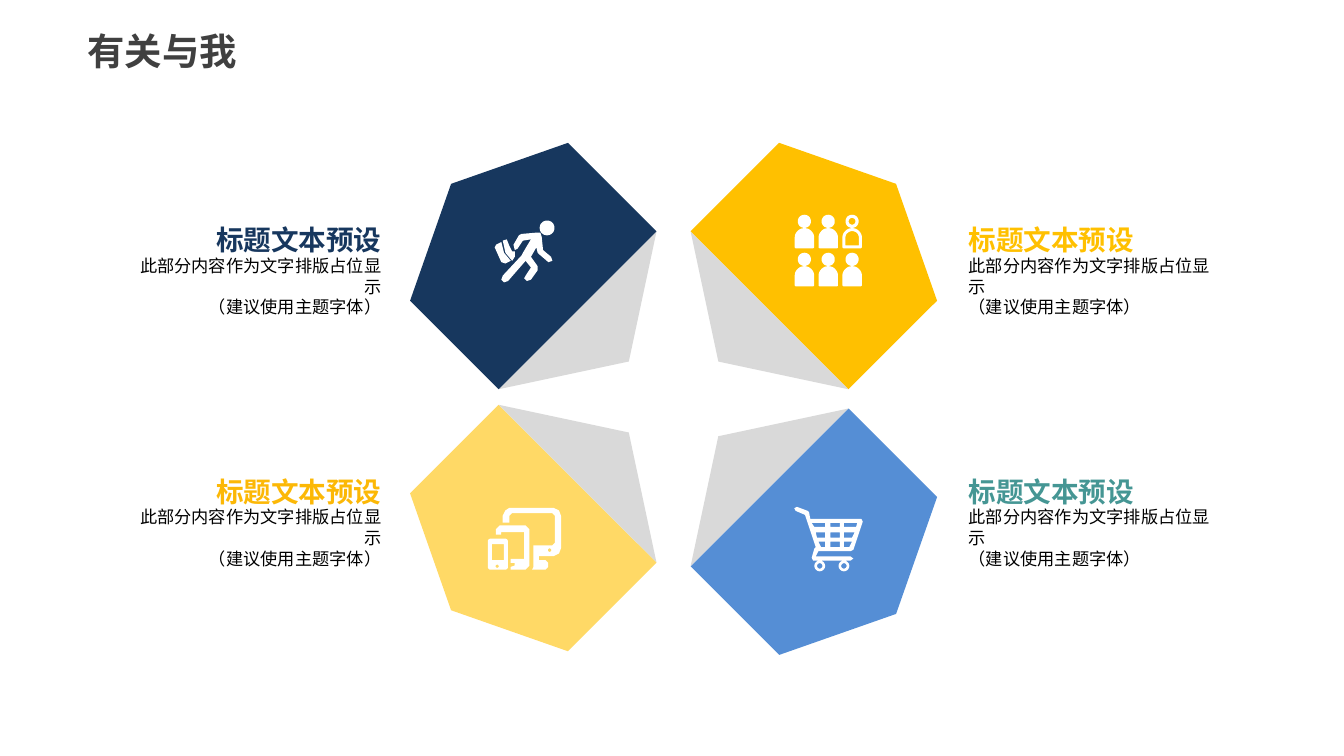
"""Build a slide with four pentagon cards, each with an icon, a heading and a note."""
from copy import deepcopy
from math import cos, pi, radians, sin

from lxml.etree import SubElement
from pptx import Presentation
from pptx.dml.color import RGBColor
from pptx.enum.shapes import MSO_SHAPE as Shape
from pptx.enum.text import MSO_ANCHOR as Anchor, MSO_AUTO_SIZE as AutoSize, PP_ALIGN as Align
from pptx.oxml.ns import qn
from pptx.util import Cm, Pt

COLORS = {
    "title": "404040", "body": "000000", "fold": "D9D9D9", "icon": "FFFFFF",
    "navy": "17375E", "gold": "FFC000", "sand": "FFD966", "blue": "558ED5",
    "amber": "FCB806", "teal": "459694",
}
FONT = "Noto Sans CJK SC"
HEADING = "标题文本预设"
NOTE = "此部分内容作为文字排版占位显示\n（建议使用主题字体）"
PLATE_W, PLATE_H = 3.38, 4.22
FOLD_H = 1.37
UNIT = Cm(0.0254)
FINE = 10


def write(tf, text, size=9.2, color="body", bold=False, align=Align.LEFT,
          anchor=Anchor.TOP, wrap=True, inset=0.2, spacing=None):
    tf.auto_size = AutoSize.NONE
    tf.word_wrap = wrap
    tf.vertical_anchor = anchor
    tf.margin_left = tf.margin_right = Cm(inset)
    tf.margin_top = tf.margin_bottom = 0
    p = tf.paragraphs[0]
    p.text = text
    p.alignment = align
    p.line_spacing = spacing
    for r in p.runs:
        r.font.size = Pt(size)
        r.font.bold = bold
        r.font.name = FONT
        r.font.color.rgb = RGBColor.from_string(COLORS[color])
        props = r._r.get_or_add_rPr()
        SubElement(props, qn("a:ea"), typeface=FONT)
    for br in p._p.findall(qn("a:br")):
        br.append(deepcopy(props))


def arc(cx, cy, r, start=0, sweep=360, steps=32):
    angles = [radians(start + sweep * i / steps) for i in range(steps + 1)]
    return [(cx + r * cos(a), cy + r * sin(a)) for a in angles]


def rounded(x, y, w, h, top, bottom):
    return (arc(x + top, y + top, top, 180, 90, 8)
            + arc(x + w - top, y + top, top, 270, 90, 8)
            + arc(x + w - bottom, y + h - bottom, bottom, 0, 90, 8)
            + arc(x + bottom, y + h - bottom, bottom, 90, 90, 8))


def runner():
    return [
        arc(39, 5.5, 5.5),
        [(31, 9), (34, 9), (35, 12), (36, 22), (42, 27), (43, 30), (40, 31), (33, 25),
         (32, 24), (31, 20), (27, 27), (32, 34), (32, 37), (27, 44), (24, 45), (22, 43),
         (23, 41), (27, 35), (23, 30), (10, 45), (7, 46), (5, 44), (6, 41), (20, 26),
         (21, 24), (27, 14), (21, 15), (17, 21), (15, 22), (14, 18), (18, 11), (20, 10)],
        [(1, 18), (5, 16), (7, 24), (12, 30), (8, 32), (5, 31), (0, 20)],
        [(6, 15), (9, 14), (11, 19), (13, 23), (15, 23), (15, 27), (13, 30), (8, 24)],
    ]


def people():
    contours = []
    for row in range(2):
        for col in range(3):
            x, y = col * 17.75, row * 28.3
            contours += [arc(x + 7.2, y + 4.9, 4.9), rounded(x, y + 10, 14.5, 15, 7.2, 1)]
    x = 2 * 17.75
    return contours + [arc(x + 7.2, 4.9, 2.5), rounded(x + 2.2, 12.2, 10.1, 10.6, 5, 0)]


def devices():
    return [
        rounded(0, 23, 15, 23, 2, 2),
        rounded(3, 27, 9, 12, 0, 0),
        arc(7, 43.5, 1.2),
        [(6, 20), (6, 16), (9, 13), (28, 13), (31, 16), (31, 43), (28, 46), (17, 46),
         (17, 44), (20, 43), (20, 41), (17, 41), (17, 38), (27, 38), (27, 18), (10, 18),
         (10, 20)],
        [(11, 11), (11, 6), (13, 2), (16, 0), (49, 0), (53, 2), (54.5, 6), (54.5, 30),
         (53, 34), (49, 36), (38, 36), (38, 39), (43, 39), (45, 41), (45, 44), (43, 46),
         (33, 46), (34, 44), (34, 28), (48, 28), (50, 26), (50, 6), (48, 4), (18, 4),
         (16, 6), (16, 11)],
        arc(46, 31.5, 1.3),
    ]


def cart():
    contours = [[(2, 0), (10, 3), (11, 4), (12, 9), (50, 9), (51, 11), (44, 32), (42, 33),
                 (18, 33), (16, 37), (42, 37), (44, 38.5), (42, 40), (14, 40), (13, 38),
                 (15, 31), (16, 30), (8, 6), (1, 3), (0, 1)]]
    for top, bottom, x1, x2, x3, x4 in ((12, 15, 13, 15, 47, 46), (19, 23, 16, 17, 45, 43),
                                        (26, 30, 18, 20, 43, 41)):
        contours += [
            [(x1, top), (23, top), (23, bottom), (x2, bottom)],
            [(27, top), (34, top), (34, bottom), (27, bottom)],
            [(37, top), (x3, top), (x4, bottom), (37, bottom)],
        ]
    for x in (19, 37):
        contours += [arc(x, 44, 4), arc(x, 44, 2)]
    return contours


class Deck:
    def __init__(self):
        self.prs = Presentation()
        self.prs.slide_width, self.prs.slide_height = Cm(25.4), Cm(14.29)
        self.slide = self.prs.slides.add_slide(self.prs.slide_layouts[5])

    def paint(self, sp, color):
        sp.shadow.inherit = False
        sp.fill.solid()
        sp.fill.fore_color.rgb = RGBColor.from_string(COLORS[color])
        sp.line.fill.background()

    def title(self, text):
        sp = self.slide.shapes.title
        sp.left, sp.top, sp.width, sp.height = Cm(-0.51), Cm(0.36), Cm(7.16), Cm(1.19)
        write(sp.text_frame, text, size=20, color="title", bold=True, inset=0,
              align=Align.CENTER, anchor=Anchor.MIDDLE, wrap=False)

    def text(self, text, x, y, w, h, **style):
        sp = self.slide.shapes.add_textbox(Cm(x), Cm(y), Cm(w), Cm(h))
        write(sp.text_frame, text, **style)

    def shape(self, kind, cx, cy, w, h, rotation, color):
        sp = self.slide.shapes.add_shape(kind, Cm(cx - w / 2), Cm(cy - h / 2), Cm(w), Cm(h))
        sp.rotation = rotation % 360
        self.paint(sp, color)
        return sp

    def pentagon(self, cx, cy, rotation, color):
        reach = (PLATE_W + FOLD_H) / 2
        angle = rotation * pi / 180
        self.shape(Shape.ISOSCELES_TRIANGLE, cx - reach * cos(angle), cy - reach * sin(angle),
                   PLATE_H, FOLD_H, rotation - 90, "fold")
        sp = self.shape(Shape.PENTAGON, cx, cy, PLATE_W, PLATE_H, rotation, color)
        sp.adjustments[0] = 0.3

    def icon(self, contours, x, y):
        scaled = [[(px * FINE, py * FINE) for px, py in points] for points in contours]
        builder = self.slide.shapes.build_freeform(*scaled[0][0], scale=UNIT / FINE)
        for i, points in enumerate(scaled):
            if i:
                builder.move_to(*points[0])
            builder.add_line_segments(points[1:], close=True)
        self.paint(builder.convert_to_shape(Cm(x), Cm(y)), "icon")

    def caption(self, x, y, w, align, color):
        self.text(HEADING, x, y, w, 0.51, size=14.8, color=color, bold=True,
                  align=align, wrap=False, spacing=0.9)
        self.text(NOTE, x, y + 0.51, w, 1.22, align=align, anchor=Anchor.MIDDLE,
                  spacing=Pt(11.1))


def main():
    deck = Deck()
    deck.title("有关与我")
    left, right = (2.41, 5, Align.RIGHT), (18.11, 5.13, Align.LEFT)
    cards = [
        (9.72, 4.67, 225, "navy", "navy", left, 4.29, runner, 9.35, 4.17),
        (15.74, 4.67, 315, "gold", "gold", right, 4.29, people, 15.02, 4.06),
        (9.72, 10.34, 135, "sand", "amber", left, 9.04, devices, 9.22, 9.6),
        (15.74, 10.41, 45, "blue", "teal", right, 9.04, cart, 15.01, 9.58),
    ]
    for cx, cy, rotation, fill, accent, (x, w, align), y, draw, icon_x, icon_y in cards:
        deck.pentagon(cx, cy, rotation, fill)
        deck.icon(draw(), icon_x, icon_y)
        deck.caption(x, y, w, align, accent)
    deck.prs.save("out.pptx")


if __name__ == "__main__":
    main()
